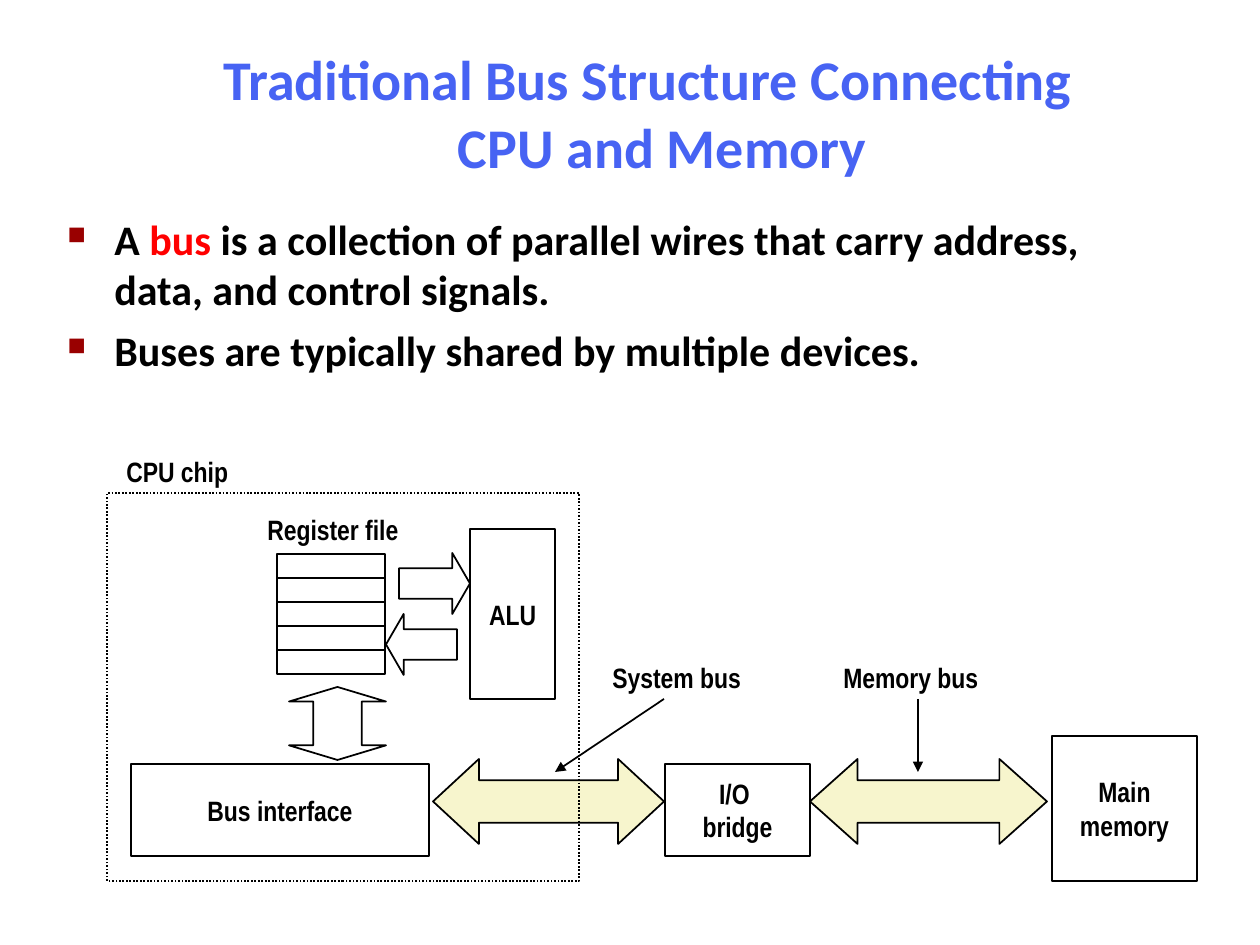
from lxml import etree
from pptx import Presentation
from pptx.dml.color import RGBColor
from pptx.enum.dml import MSO_LINE
from pptx.enum.shapes import MSO_CONNECTOR, MSO_SHAPE as SHAPE
from pptx.enum.text import MSO_ANCHOR as ANCHOR, MSO_AUTO_SIZE, PP_ALIGN as ALIGN
from pptx.oxml.ns import qn
from pptx.util import Emu, Pt

PX_PER_INCH = 126
BLACK, BLUE, RED, DARK_RED, CREAM = "000000", "4763F3", "FF0000", "990000", "F7F5CD"


def px(n):
    return Emu(round(n * 914400 / PX_PER_INCH))


def rgb(value):
    return RGBColor.from_string(value)


class Deck:
    heading_font, label_font = "Calibri", "Arial Narrow"
    label_size, line_width = 16, Pt(1)

    def __init__(self, prs):
        self.s = prs.slides.add_slide(prs.slide_layouts[6])

    def run(self, p, text, font, size, color=BLACK):
        r = p.add_run()
        r.text = text
        r.font.name, r.font.size, r.font.bold = font, Pt(size), True
        r.font.color.rgb = rgb(color)

    def labels(self, tf, lines, align):
        tf.vertical_anchor = ANCHOR.MIDDLE
        tf.word_wrap = False
        for i, line in enumerate(lines):
            p = tf.add_paragraph() if i else tf.paragraphs[0]
            p.alignment = align
            self.run(p, line, self.label_font, self.label_size)

    def textbox(self, x, y, w, h):
        return self.s.shapes.add_textbox(px(x), px(y), px(w), px(h)).text_frame

    def indent(self, p, size):
        pPr = p._p.get_or_add_pPr()
        pPr.set("marL", str(px(size)))
        pPr.set("indent", str(-px(size)))
        return pPr

    def title(self, x, y, w, h, lines):
        tf = self.textbox(x, y, w, h)
        tf.word_wrap = True
        tf.vertical_anchor = ANCHOR.MIDDLE
        p = tf.paragraphs[0]
        p.alignment = ALIGN.CENTER
        self.indent(p, 16)
        for i, line in enumerate(lines):
            if i:
                p.add_line_break()
            self.run(p, line, self.heading_font, 32, BLUE)

    def bullets(self, x, y, w, h, items):
        tf = self.textbox(x, y, w, h)
        tf.word_wrap = True
        for i, item in enumerate(items):
            p = tf.add_paragraph() if i else tf.paragraphs[0]
            if i:
                p.space_before = Pt(6)
            pPr = self.indent(p, 47)
            clr = etree.SubElement(pPr, qn("a:buClr"))
            etree.SubElement(clr, qn("a:srgbClr"), val=DARK_RED)
            etree.SubElement(pPr, qn("a:buSzPct"), val="60000")
            etree.SubElement(pPr, qn("a:buChar"), char="■")
            for text, color in item:
                self.run(p, text, self.heading_font, 24, color)

    def shape(self, kind, x, y, w, h, lines=(), fill=None, dash=None):
        sp = self.s.shapes.add_shape(kind, px(x), px(y), px(w), px(h))
        sp.shadow.inherit = False
        if fill:
            sp.fill.solid()
            sp.fill.fore_color.rgb = rgb(fill)
        else:
            sp.fill.background()
        sp.line.color.rgb = rgb(BLACK)
        sp.line.width = self.line_width
        if dash:
            sp.line.dash_style = dash
        if lines:
            self.labels(sp.text_frame, lines, ALIGN.CENTER)
        return sp

    def box(self, x, y, w, h, *lines, dash=None):
        self.shape(SHAPE.RECTANGLE, x, y, w, h, lines, dash=dash)

    def arrow(self, kind, x, y, w, h, head, fill=None):
        sp = self.shape(kind, x, y, w, h, fill=fill)
        # Guides are named here: the up-down arrow's defaults repeat adj1
        guides = sp._element.spPr.find(qn("a:prstGeom")).find(qn("a:avLst"))
        for gd in list(guides):
            guides.remove(gd)
        for name, value in (("adj1", 0.5), ("adj2", head)):
            etree.SubElement(guides, qn("a:gd"), name=name,
                             fmla=f"val {round(value * 100000)}")

    def label(self, x, y, w, text):
        tf = self.textbox(x, y, w, 47)
        self.labels(tf, [text], ALIGN.LEFT)
        tf.auto_size = MSO_AUTO_SIZE.SHAPE_TO_FIT_TEXT

    def pointer(self, x1, y1, x2, y2):
        c = self.s.shapes.add_connector(
            MSO_CONNECTOR.STRAIGHT, px(x1), px(y1), px(x2), px(y2))
        c.line.color.rgb = rgb(BLACK)
        c.line.width = self.line_width
        etree.SubElement(c.line._get_or_add_ln(), qn("a:tailEnd"), type="triangle")
        etree.SubElement(c._element.spPr, qn("a:effectLst"))


def main():
    prs = Presentation()
    prs.slide_width, prs.slide_height = px(1260), px(945)
    d = Deck(prs)

    # Title and bullets
    d.title(49, 60, 1211, 104, ["Traditional Bus Structure Connecting ", "CPU and Memory"])
    d.bullets(55, 207, 1089, 685, [
        [("A ", BLACK), ("bus", RED),
         (" is a collection of parallel wires that carry address, "
          "data, and control signals.", BLACK)],
        [("Buses are typically shared by multiple devices.", BLACK)],
    ])

    # Memory, bridge and bus interface, joined by the two buses
    d.box(1052, 736, 145, 145, "Main", "memory")
    d.arrow(SHAPE.LEFT_RIGHT_ARROW, 810, 759, 237, 85, 0.56, CREAM)
    d.box(665, 764, 145, 92, "I/O ", "bridge")
    d.arrow(SHAPE.LEFT_RIGHT_ARROW, 433, 759, 231, 85, 0.54, CREAM)
    d.box(131, 764, 298, 92, "Bus interface")

    # Register file and ALU
    for row in range(5):
        d.box(277, 554 + 24 * row, 108, 24)
    d.arrow(SHAPE.RIGHT_ARROW, 399, 553, 71, 61, 0.29)
    d.arrow(SHAPE.LEFT_ARROW, 386, 614, 71, 61, 0.29)
    d.box(470, 529, 85, 170, "ALU")
    d.label(255, 506, 156, "Register file")
    d.arrow(SHAPE.UP_DOWN_ARROW, 289, 687, 97, 73, 0.2)

    # CPU chip outline
    d.box(107, 493, 472, 388, dash=MSO_LINE.ROUND_DOT)
    d.label(114, 448, 127, "CPU chip")

    # Bus names and their pointers
    d.label(600, 654, 154, "System bus")
    d.pointer(664, 699, 555, 772)
    d.label(831, 654, 160, "Memory bus")
    d.pointer(918, 699, 918, 772)

    prs.save("out.pptx")


if __name__ == "__main__":
    main()
